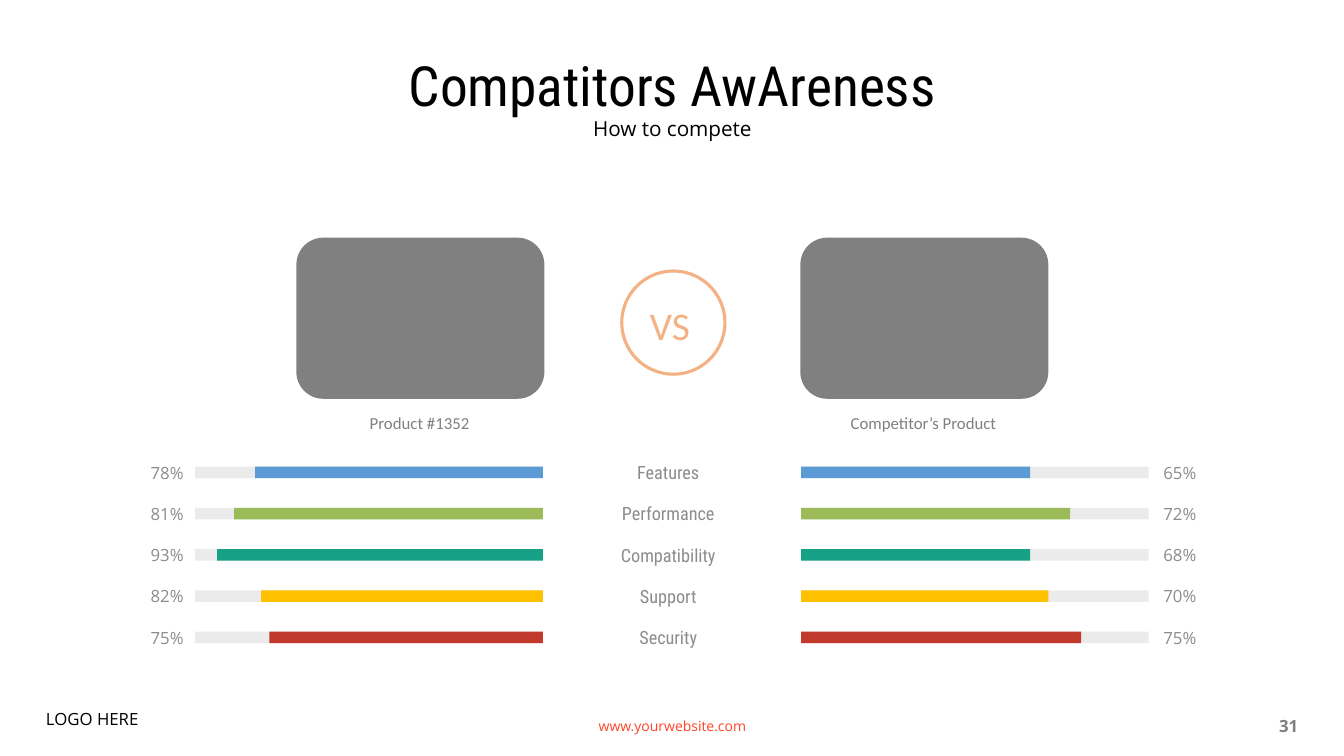
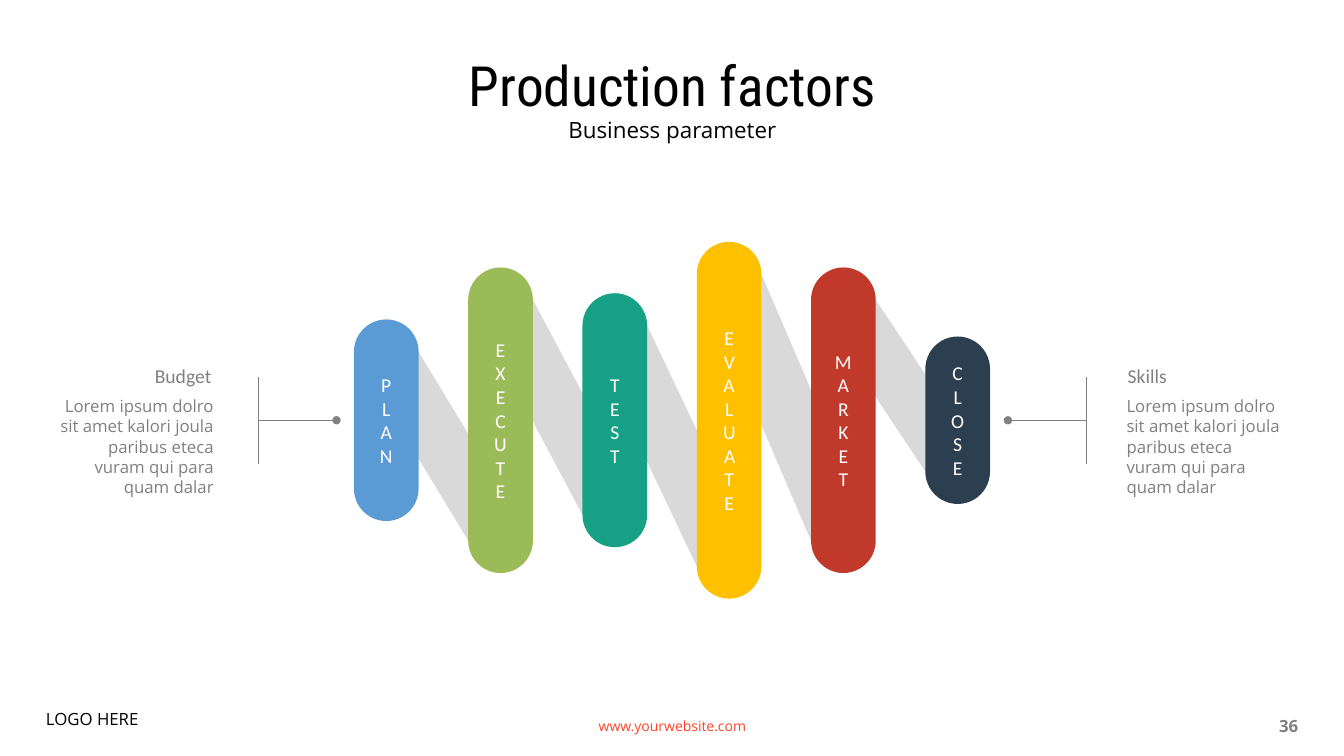
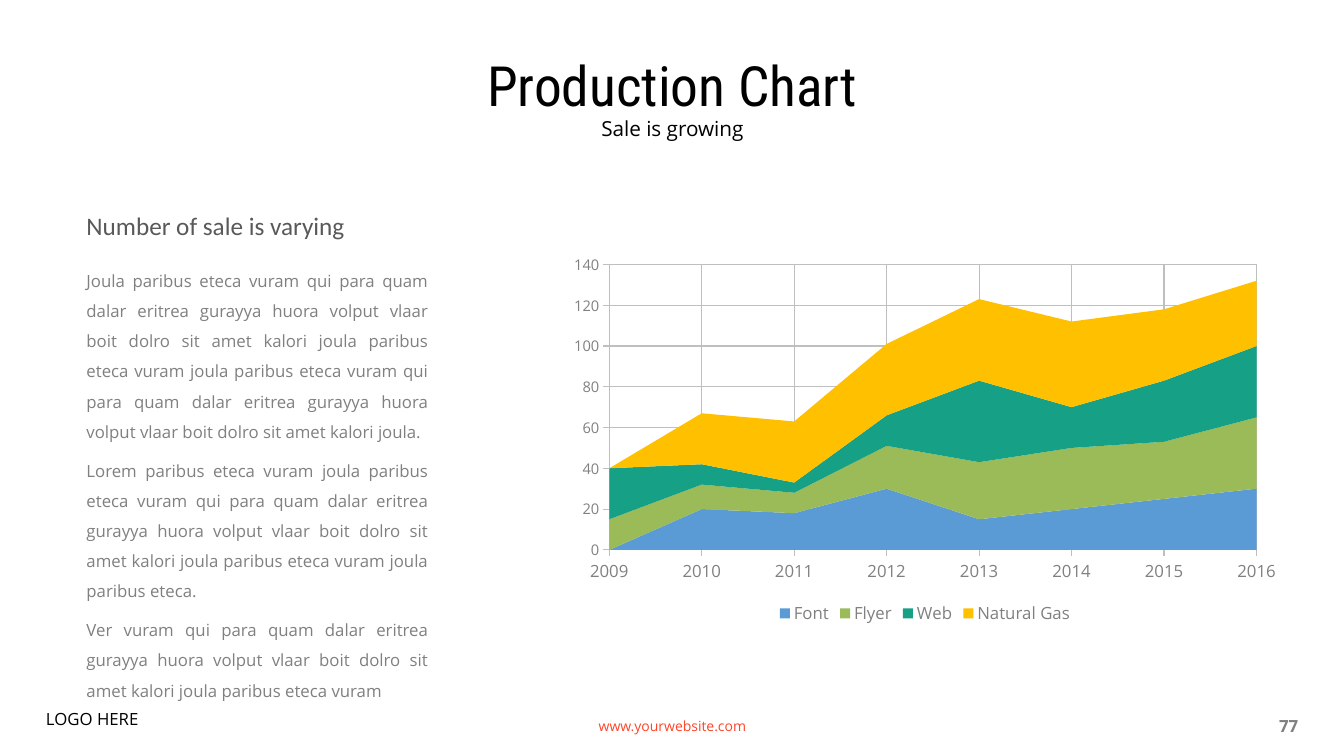
from lxml import etree
from pptx import Presentation
from pptx.chart.data import CategoryChartData
from pptx.dml.color import RGBColor
from pptx.enum.chart import XL_CHART_TYPE, XL_LEGEND_POSITION, XL_TICK_MARK
from pptx.enum.shapes import MSO_CONNECTOR, MSO_SHAPE
from pptx.enum.text import MSO_ANCHOR, MSO_AUTO_SIZE, PP_ALIGN
from pptx.oxml.ns import qn
from pptx.util import Cm, Pt

LEFT, CENTER, RIGHT, JUSTIFY = PP_ALIGN.LEFT, PP_ALIGN.CENTER, PP_ALIGN.RIGHT, PP_ALIGN.JUSTIFY
TOP, MIDDLE = MSO_ANCHOR.TOP, MSO_ANCHOR.MIDDLE
NO_AUTOFIT = MSO_AUTO_SIZE.NONE
RECTANGLE, ROUNDED, OVAL = MSO_SHAPE.RECTANGLE, MSO_SHAPE.ROUNDED_RECTANGLE, MSO_SHAPE.OVAL
STRAIGHT = MSO_CONNECTOR.STRAIGHT
AREA_STACKED = XL_CHART_TYPE.AREA_STACKED
LEGEND_BOTTOM = XL_LEGEND_POSITION.BOTTOM
TICK_OUTSIDE = XL_TICK_MARK.OUTSIDE

# Shared style
HEADING, BODY, LABEL = "Roboto Condensed", "Open Sans", "Calibri"
BLACK, WHITE, GRAY, LABEL_GRAY = "000000", "FFFFFF", "808080", "8C8C8C"
LIGHT_GRAY, GRID_GRAY, DARK_GRAY = "D9D9D9", "BFBFBF", "595959"
ORANGE, WEB_RED = "F4B183", "FF4429"
BLUE, GREEN, TEAL, YELLOW, RED, NAVY = "5B9BD5", "9BBB59", "16A085", "FFC000", "C0392B", "2C3F50"
DEFAULT_INSETS = (0.25, 0.13, 0.25, 0.13)
LABEL_INSETS = (0, 0, 0.25, 0)
NO_INSETS = (0, 0, 0, 0)

# Content: name, left percent and bar width, right percent and bar width, colour
PRODUCTS = [("Product #1352", 7.47), ("Competitor’s Product", 20.17)]
COMPARISON = [
    ("Features", "78%", 7.25, "65%", 5.77, BLUE),
    ("Performance", "81%", 7.78, "72%", 6.78, GREEN),
    ("Compatibility", "93%", 8.21, "68%", 5.77, TEAL),
    ("Support", "82%", 7.1, "70%", 6.23, YELLOW),
    ("Security", "75%", 6.89, "75%", 7.06, RED),
]
STAGES = [
    ("PLAN", 5.08, BLUE),
    ("EXECUTE", 7.7, GREEN),
    ("TEST", 6.4, TEAL),
    ("EVALUATE", 8.99, YELLOW),
    ("MARKET", 7.7, RED),
    ("CLOSE", 4.22, NAVY),
]
FACTOR_TEXT = "Lorem ipsum dolro sit amet kalori joula paribus eteca vuram qui para quam dalar"
# Heading, alignment, heading left and width, body left, bracket x, dot x
FACTORS = [
    ("Budget", RIGHT, 1.55, 3.78, 1.27, 6.5, 8.48),
    ("Skills", LEFT, 28.42, 4.67, 28.14, 27.38, 25.4),
]
SALE_PARAGRAPHS = [
    "Joula paribus eteca vuram qui para quam dalar eritrea gurayya huora volput vlaar boit "
    "dolro sit amet kalori joula paribus eteca vuram joula paribus eteca vuram qui para quam "
    "dalar eritrea gurayya huora volput vlaar boit dolro sit amet kalori joula.",
    "Lorem paribus eteca vuram joula paribus eteca vuram qui para quam dalar eritrea gurayya "
    "huora volput vlaar boit dolro sit amet kalori joula paribus eteca vuram joula paribus eteca.",
    "Ver vuram qui para quam dalar eritrea gurayya huora volput vlaar boit dolro sit amet "
    "kalori joula paribus eteca vuram",
]
YEARS = [str(year) for year in range(2009, 2017)]
SALES = [
    ("Font", BLUE, (0, 20, 18, 30, 15, 20, 25, 30)),
    ("Flyer", GREEN, (15, 12, 10, 21, 28, 30, 28, 35)),
    ("Web", TEAL, (25, 10, 5, 15, 40, 20, 30, 35)),
    ("Natural Gas", YELLOW, (0, 25, 30, 35, 40, 42, 35, 32)),
]


def color(value):
    return RGBColor.from_string(value)


def set_values(target, values):
    for name, value in values.items():
        setattr(target, name, value)


def place(shape, box):
    set_values(shape, dict(zip(("left", "top", "width", "height"), map(Cm, box))))


def set_font(font, name, size, fill, bold=False):
    set_values(font, {"name": name, "size": Pt(size), "bold": bold})
    font.color.rgb = color(fill)


def write(shape, texts, font, align=LEFT, anchor=TOP, insets=DEFAULT_INSETS, wrap=True,
          spacing=1.0, after=0):
    """Fill a shape with paragraphs; font is (name, size, colour[, bold])."""
    frame = shape.text_frame
    set_values(frame, {"word_wrap": wrap, "auto_size": NO_AUTOFIT, "vertical_anchor": anchor})
    sides = ("margin_left", "margin_top", "margin_right", "margin_bottom")
    set_values(frame, dict(zip(sides, map(Cm, insets))))
    texts = [texts] if isinstance(texts, str) else texts
    for index, text in enumerate(texts):
        paragraph = frame.add_paragraph() if index else frame.paragraphs[0]
        paragraph.text = text
        last = index == len(texts) - 1
        set_values(paragraph, {"alignment": align, "line_spacing": spacing,
                               "space_before": Pt(0), "space_after": Pt(0 if last else after)})
        set_font(paragraph.runs[0].font, *font)


def add_text(slide, box, texts, font, **layout):
    text_box = slide.shapes.add_textbox(*map(Cm, box))
    write(text_box, texts, font, **layout)


def paint(shape, fill):
    shape.shadow.inherit = False
    shape.fill.solid()
    shape.fill.fore_color.rgb = color(fill)
    shape.line.fill.background()


def add_block(slide, kind, box, fill):
    shape = slide.shapes.add_shape(kind, *map(Cm, box))
    paint(shape, fill)
    return shape


def add_line(slide, start, end, dot=False):
    line = slide.shapes.add_connector(STRAIGHT, *map(Cm, start + end))
    line.line.color.rgb = color(GRAY)
    line.line.width = Pt(0.5)
    properties = line.element.find(qn("p:spPr"))
    if dot:
        etree.SubElement(properties.find(qn("a:ln")), qn("a:tailEnd"), type="oval")
    etree.SubElement(properties, qn("a:effectLst"))


def new_slide(presentation, title, subtitle, number, subtitle_size=14.8):
    slide = presentation.slides.add_slide(presentation.slide_layouts[0])
    heading, subheading = slide.placeholders
    place(heading, (2.34, 1.57, 29.21, 1.32))
    write(heading, title, (HEADING, 39.6, BLACK), align=CENTER, anchor=MIDDLE, spacing=0.9)
    place(subheading, (2.34, 2.92, 29.21, 0.81))
    write(subheading, subtitle, (BODY, subtitle_size, BLACK), align=CENTER, spacing=0.8)
    # Footer
    add_text(slide, (11.23, 17.78, 11.43, 1.02), "www.yourwebsite.com", (BODY, 10, WEB_RED),
             align=CENTER, anchor=MIDDLE)
    add_text(slide, (24.97, 17.78, 8, 1.02), number, (BODY, 12, GRAY, True),
             align=RIGHT, anchor=MIDDLE)
    add_text(slide, (0.91, 17.78, 10.59, 1.09), "LOGO HERE", (BODY, 12, BLACK), spacing=0.9)
    return slide


def build_comparison(presentation):
    slide = new_slide(presentation, "Compatitors AwAreness", "How to compete", "31")
    # Product cards
    for name, left in PRODUCTS:
        add_block(slide, ROUNDED, (left, 5.99, 6.25, 4.06), GRAY)
        add_text(slide, (left + 0.4, 10.31, 5.41, 0.71), name, (LABEL, 12, GRAY),
                 align=CENTER, insets=(0.1, 0.1, 0.1, 0.1))
    # Versus badge
    badge = add_block(slide, OVAL, (15.67, 6.83, 2.6, 2.6), WHITE)
    badge.fill.background()
    badge.line.color.rgb = color(ORANGE)
    badge.line.width = Pt(2.25)
    add_text(slide, (15.95, 7.54, 2.11, 1.27), "VS", (LABEL, 28, ORANGE),
             align=CENTER, anchor=MIDDLE, insets=LABEL_INSETS)
    # Bars grow outwards from the middle
    track_width, bar_height, left_end, right_start = 8.76, 0.29, 13.68, 20.19
    for row, (name, left_share, left_width, right_share, right_width, fill) in enumerate(COMPARISON):
        top = 11.76 + 1.04 * row
        label_top = top + bar_height / 2 - 0.64
        for track_left in (left_end - track_width, right_start):
            track = add_block(slide, RECTANGLE, (track_left, top, track_width, bar_height), LIGHT_GRAY)
            track_color = track.element.spPr.find(qn("a:solidFill"))[0]
            etree.SubElement(track_color, qn("a:alpha"), val="50000")
        for left, width in ((left_end - left_width, left_width), (right_start, right_width)):
            add_block(slide, RECTANGLE, (left, top, width, bar_height), fill)
        for left, width, text, font, size, align in (
            (3.66, 1.22, left_share, BODY, 12, RIGHT),
            (13.28, 7.37, name, HEADING, 13, CENTER),
            (29.11, 1.5, right_share, BODY, 12, CENTER),
        ):
            add_text(slide, (left, label_top, width, 1.28), text, (font, size, LABEL_GRAY),
                     align=align, anchor=MIDDLE, insets=LABEL_INSETS)


def build_factors(presentation):
    slide = new_slide(presentation, "Production factors", "Business parameter", "36", 16)
    middle, pill_width, pitch, first_left = 10.59, 1.63, 2.88, 8.92
    radius = pill_width / 2
    # Each band runs from the top of one pill to the foot of the next
    for index in reversed(range(len(STAGES) - 1)):
        left, next_left = (first_left + pitch * step for step in (index, index + 1))
        top = middle - STAGES[index][1] / 2 + radius
        bottom = middle + STAGES[index + 1][1] / 2 - radius
        corners = [(left, top), (left + pill_width, top),
                   (next_left + pill_width, bottom), (next_left, bottom)]
        points = [(Cm(x), Cm(y)) for x, y in corners]
        outline = slide.shapes.build_freeform(*points[0])
        outline.add_line_segments(points[1:], close=True)
        paint(outline.convert_to_shape(), LIGHT_GRAY)
    # Pills with stacked letters
    for index, (name, height, fill) in enumerate(STAGES):
        box = (first_left + pitch * index, middle - height / 2, pill_width, height)
        pill = add_block(slide, ROUNDED, box, fill)
        pill.adjustments[0] = 0.5
        write(pill, name, (LABEL, 14, WHITE), align=CENTER, anchor=MIDDLE, insets=NO_INSETS)
        pill.element.txBody.find(qn("a:bodyPr")).set("vert", "wordArtVert")
    # Side notes with brackets
    for name, align, left, width, body_left, bracket, dot in FACTORS:
        add_line(slide, (bracket, 11.68), (bracket, 9.5))
        add_line(slide, (bracket, middle), (dot, middle), dot=True)
        add_text(slide, (left, 9.18, width, 0.61), name, (LABEL, 14, GRAY),
                 align=align, insets=NO_INSETS)
        add_text(slide, (body_left, 9.85, 4.37, 3.07), FACTOR_TEXT, (BODY, 12, GRAY), align=align)


def build_sales(presentation):
    slide = new_slide(presentation, "Production Chart", "Sale is growing", "77")
    add_text(slide, (1.93, 5.18, 7.04, 1.02), "Number of sale is varying",
             (LABEL, 18, DARK_GRAY), wrap=False)
    add_text(slide, (1.93, 6.43, 9.12, 11.46), SALE_PARAGRAPHS, (BODY, 12, GRAY),
             align=JUSTIFY, spacing=1.5, after=6)
    # Stacked area chart
    data = CategoryChartData()
    data.categories = YEARS
    for name, _, values in SALES:
        data.add_series(name, values)
    box = map(Cm, (14.1, 6.22, 18.42, 9.63))
    chart = slide.shapes.add_chart(AREA_STACKED, *box, data).chart
    set_values(chart, {"has_title": False, "has_legend": True})
    set_font(chart.font, BODY, 12, GRAY)
    set_values(chart.legend, {"position": LEGEND_BOTTOM, "include_in_layout": False})
    plot = chart.plots[0]
    plot.vary_by_categories = False
    for series, (_, fill, _) in zip(plot.series, SALES):
        series.format.fill.solid()
        series.format.fill.fore_color.rgb = color(fill)
    for axis, size in ((chart.category_axis, 12), (chart.value_axis, 10.5)):
        set_values(axis, {"has_major_gridlines": True, "major_tick_mark": TICK_OUTSIDE})
        set_font(axis.tick_labels.font, BODY, size, GRAY)
        for line in (axis.format.line, axis.major_gridlines.format.line):
            line.color.rgb = color(GRID_GRAY)
            line.width = Pt(0.75)
    set_values(chart.value_axis, {"minimum_scale": 0, "maximum_scale": 140, "major_unit": 20})


def main():
    presentation = Presentation()
    set_values(presentation, {"slide_width": Cm(33.87), "slide_height": Cm(19.05)})
    build_comparison(presentation)
    build_factors(presentation)
    build_sales(presentation)
    presentation.save("out.pptx")


if __name__ == "__main__":
    main()
